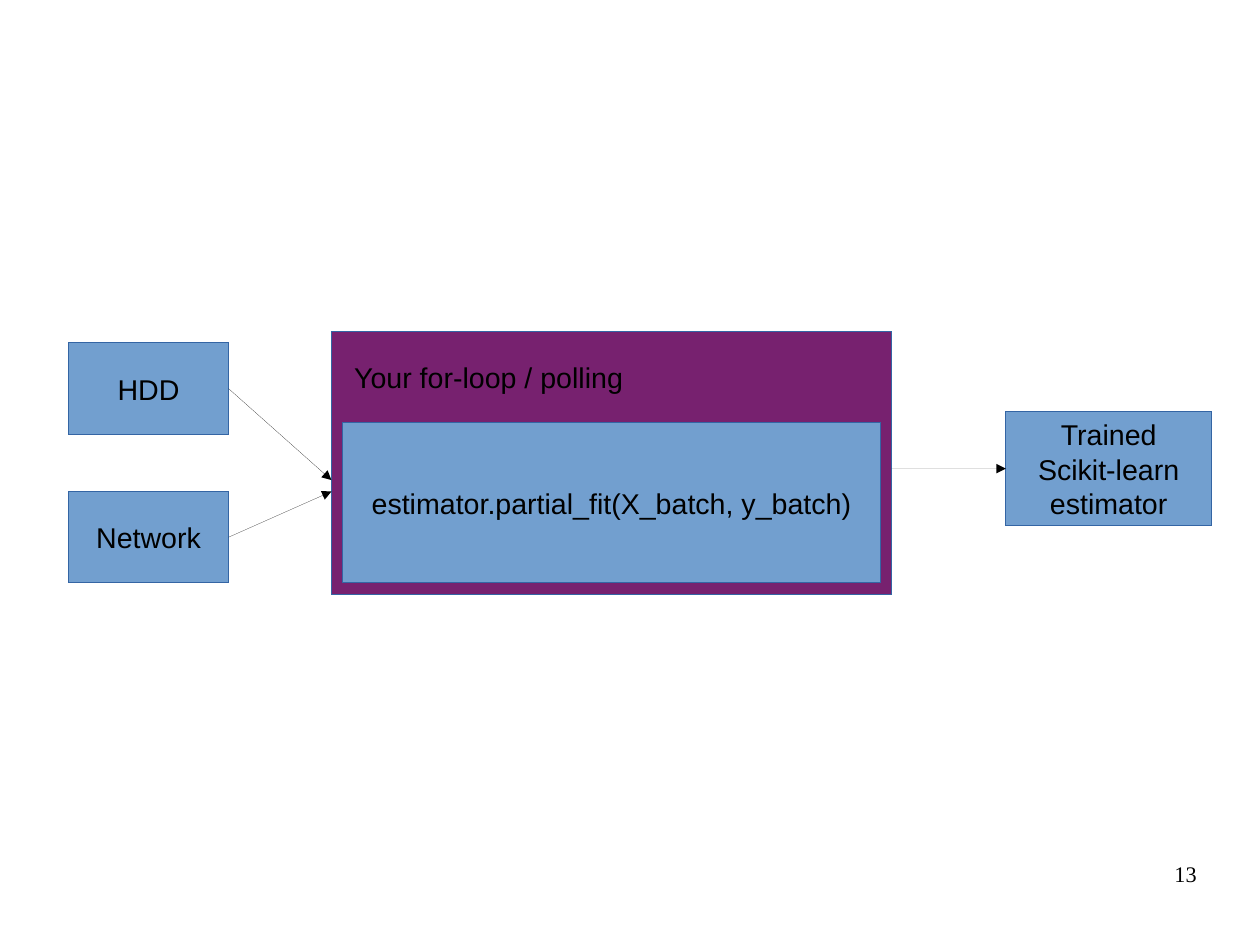
from pptx import Presentation
from pptx.dml.color import RGBColor
from pptx.enum.shapes import MSO_CONNECTOR, MSO_SHAPE
from pptx.enum.text import MSO_ANCHOR, PP_ALIGN
from pptx.oxml.ns import qn
from pptx.util import Cm, Inches, Pt
from lxml import etree

RECTANGLE = MSO_SHAPE.RECTANGLE
STRAIGHT = MSO_CONNECTOR.STRAIGHT
TOP, MIDDLE = MSO_ANCHOR.TOP, MSO_ANCHOR.MIDDLE
LEFT, CENTER, RIGHT = PP_ALIGN.LEFT, PP_ALIGN.CENTER, PP_ALIGN.RIGHT
LEFT_SIDE, RIGHT_SIDE = 1, 3

COLORS = {"step": "729FCF", "loop": "77216F", "border": "3465A4", "ink": "000000"}

BOXES = [
    ("hdd", (0.6, 3, 1.4, 0.8), "step", ["HDD"]),
    ("network", (0.6, 4.3, 1.4, 0.8), "step", ["Network"]),
    ("loop", (2.9, 2.9, 4.9, 2.3), "loop", []),
    ("fit", (3, 3.7, 4.7, 1.4), "step", ["estimator.partial_fit(X_batch, y_batch)"]),
    ("trained", (8.8, 3.6, 1.8, 1), "step", ["Trained", "Scikit-learn", "estimator"]),
]
LABELS = [
    ((3, 3.1, 4.4, 0.66), "Your for-loop / polling", LEFT, "Arial", 18, (0.1, 0.05)),
    ((7.9, 7.53, 2.57, 0.57), "13", RIGHT, "Times New Roman", 14, (0, 0)),
]
ARROWS = [
    ((2, 3.4), (2.9, 4.2), "hdd", None),
    ((2, 4.7), (2.9, 4.3), "network", None),
    ((7.8, 4.1), (8.8, 4.1), None, "trained"),
]


def color(name):
    """Return the named colour."""
    return RGBColor.from_string(COLORS[name])


def draw_hairline(shape, name):
    """Give a shape a zero-width line and return the line element."""
    shape.line.color.rgb = color(name)
    outline = shape._element.spPr.find(qn("a:ln"))
    outline.set("w", "0")
    return outline


def write(frame, lines, align, font="Arial", size=18, insets=(0.1, 0.05), anchor=TOP):
    """Fill a text frame with one paragraph per line."""
    frame.vertical_anchor = anchor
    frame.margin_left = frame.margin_right = Inches(insets[0])
    frame.margin_top = frame.margin_bottom = Inches(insets[1])
    for index, line in enumerate(lines):
        para = frame.add_paragraph() if index else frame.paragraphs[0]
        para.alignment = align
        span = para.add_run()
        span.text = line
        span.font.name = font
        span.font.size = Pt(size)
        span.font.color.rgb = color("ink")


def add_box(page, place, fill, lines):
    """Draw a filled rectangle with centred text."""
    box = page.shapes.add_shape(RECTANGLE, *map(Inches, place))
    box.shadow.inherit = False
    box.fill.solid()
    box.fill.fore_color.rgb = color(fill)
    draw_hairline(box, "border")
    box.text_frame.word_wrap = False
    write(box.text_frame, lines, CENTER, anchor=MIDDLE)
    return box


def add_arrow(page, start, end, source, target):
    """Draw a thin arrow, joined to its boxes where given."""
    arrow = page.shapes.add_connector(STRAIGHT, *map(Inches, start + end))
    if source:
        arrow.begin_connect(source, RIGHT_SIDE)
    if target:
        arrow.end_connect(target, LEFT_SIDE)
    outline = draw_hairline(arrow, "ink")
    etree.SubElement(outline, qn("a:tailEnd"), type="triangle")
    etree.SubElement(arrow._element.spPr, qn("a:effectLst"))


def main():
    """Build the out-of-core learning slide."""
    deck = Presentation()
    deck.slide_width, deck.slide_height = Cm(28), Cm(21)
    page = deck.slides.add_slide(deck.slide_layouts[6])
    boxes = {name: add_box(page, *details) for name, *details in BOXES}
    for place, text, *style in LABELS:
        frame = page.shapes.add_textbox(*map(Inches, place)).text_frame
        frame.word_wrap = True
        write(frame, [text], *style)
    for start, end, source, target in ARROWS:
        add_arrow(page, start, end, boxes.get(source), boxes.get(target))
    deck.save("out.pptx")


if __name__ == "__main__":
    main()
